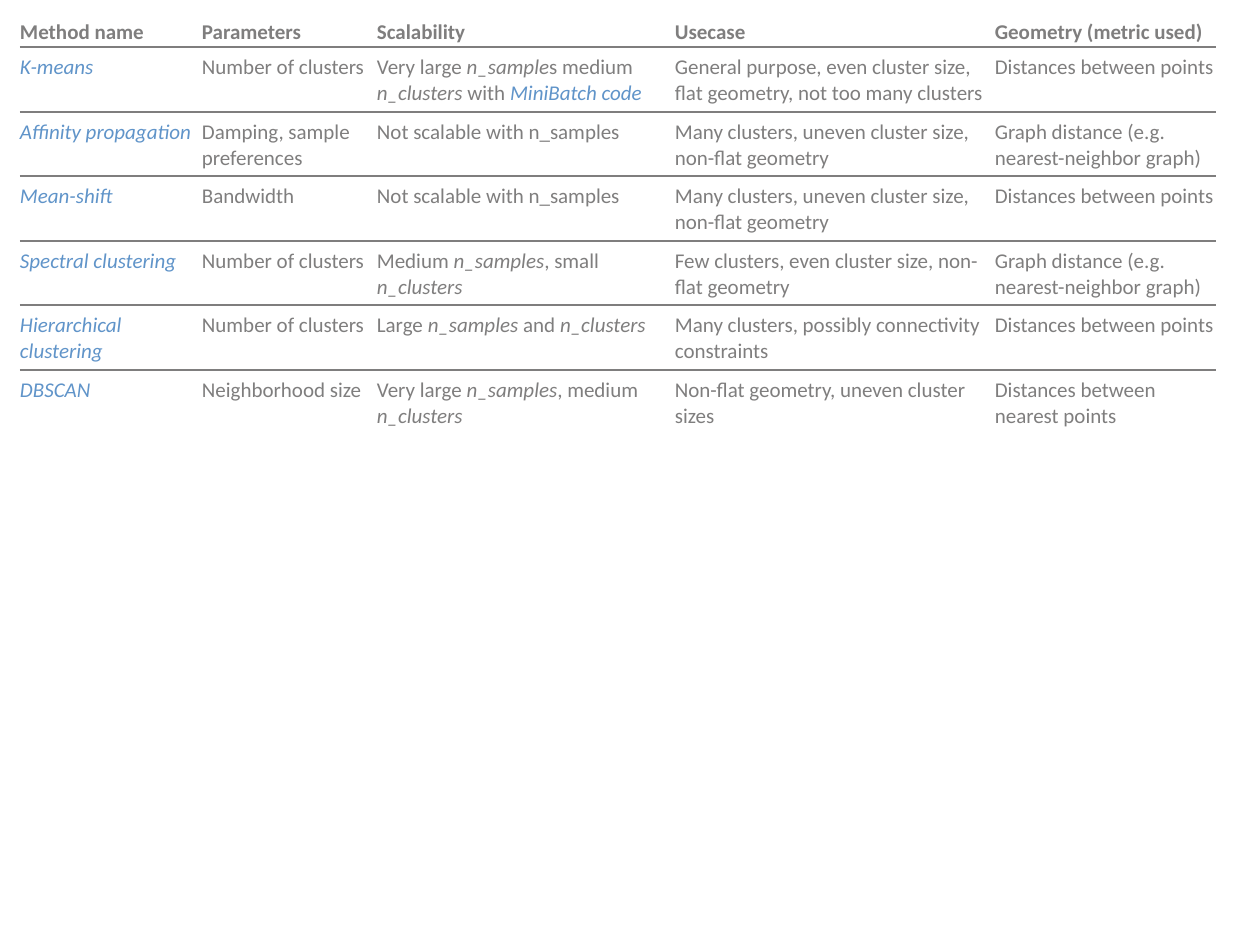
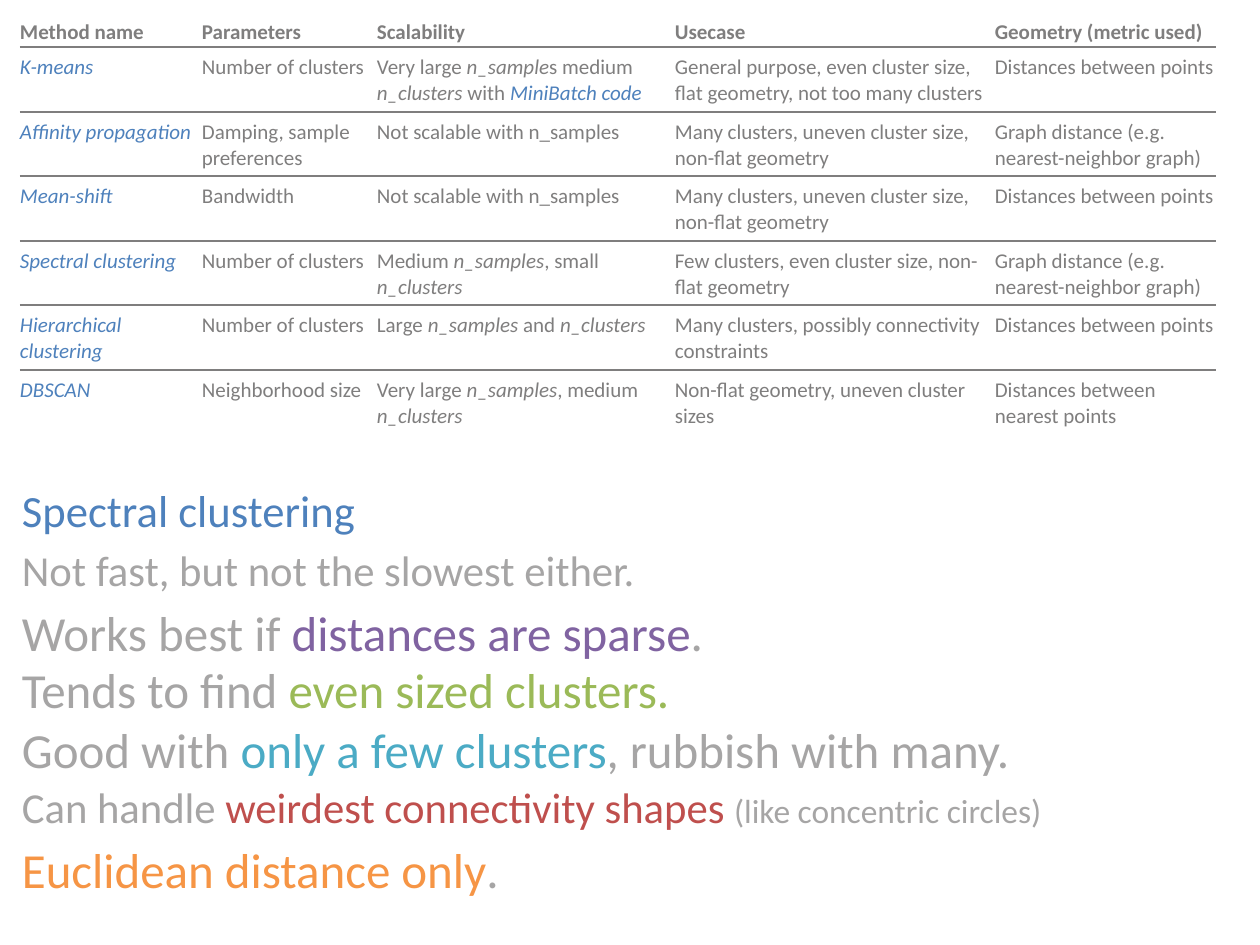
from dataclasses import dataclass
from itertools import pairwise

from lxml.etree import SubElement
from pptx import Presentation
from pptx.dml.color import RGBColor
from pptx.enum.shapes import MSO_CONNECTOR as Connector
from pptx.enum.text import MSO_ANCHOR as Anchor, MSO_AUTO_SIZE as AutoSize
from pptx.oxml.ns import qn
from pptx.util import Emu, Pt

EMU_PER_PX = 914400 / 126
FONT = "Calibri"
NO_GRID_STYLE = "{2D5ABB26-0587-4C30-8999-92F81FD0307C}"

GRAY = RGBColor(0x7F, 0x7E, 0x7E)
LIGHT_GRAY = RGBColor(0xA6, 0xA5, 0xA5)
PALE_BLUE = RGBColor(0x60, 0x94, 0xC9)
BLUE = RGBColor(0x4E, 0x81, 0xBC)
PURPLE = RGBColor(0x80, 0x63, 0xA1)
GREEN = RGBColor(0x9B, 0xBA, 0x58)
TEAL = RGBColor(0x4B, 0xAB, 0xC5)
RED = RGBColor(0xBF, 0x4F, 0x4D)
ORANGE = RGBColor(0xF6, 0x95, 0x45)

COLUMN_EDGES = [20, 202, 377, 675, 995, 1216]
COLUMN_GAP = 6
HEADER_TOP, HEADER_BOTTOM = 15, 47
ROW_PITCH = 64.6

HEADINGS = ["Method name", "Parameters", "Scalability", "Usecase", "Geometry (metric used)"]
POINT_DISTANCE = "Distances between points"
GRAPH_DISTANCE = "Graph distance (e.g. nearest-neighbor graph)"
UNEVEN_CLUSTERS = "Many clusters, uneven cluster size, non-flat geometry"
NOT_SCALABLE = "Not scalable with n_samples"


@dataclass
class Span:
    text: str
    color: RGBColor = GRAY
    size: float = 12
    bold: bool = False
    italic: bool = False
    baseline: int = 0  # percent raised


def px(length):
    return Emu(round(length * EMU_PER_PX))


def add_spans(para, spans):
    """Add one run per span; a plain string is ordinary table text."""
    for span in spans:
        if isinstance(span, str):
            span = Span(span)
        run = para.add_run()
        run.text = span.text
        font = run.font
        font.name, font.size = FONT, Pt(span.size)
        font.bold, font.italic = span.bold, span.italic
        font.color.rgb = span.color
        if span.baseline:
            run._r.get_or_add_rPr().set("baseline", str(span.baseline * 1000))


def code(text):
    return Span(text, italic=True)


def method_rows(link_color):
    def link(text):
        return Span(text, link_color, italic=True)

    return [
        [[link("K-means")], ["Number of clusters"],
         ["Very large ", code("n_sample"), "s medium ", code("n_clusters"), " with ",
          link("MiniBatch code")],
         ["General purpose, even cluster size, flat geometry, not too many clusters"],
         [POINT_DISTANCE]],
        [[link("Affinity propagation")], ["Damping, sample preferences"], [NOT_SCALABLE],
         [UNEVEN_CLUSTERS], [GRAPH_DISTANCE]],
        [[link("Mean-shift")], ["Bandwidth"], [NOT_SCALABLE],
         [UNEVEN_CLUSTERS], [POINT_DISTANCE]],
        [[link("Spectral clustering")], ["Number of clusters"],
         ["Medium ", code("n_samples"), ", small ", code("n_clusters")],
         ["Few clusters, even cluster size, non-flat geometry"], [GRAPH_DISTANCE]],
        [[link("Hierarchical clustering")], ["Number of clusters"],
         ["Large ", code("n_samples "), "and ", code("n_clusters")],
         ["Many clusters, possibly connectivity constraints"], [POINT_DISTANCE]],
        [[link("DBSCAN")], ["Neighborhood size"],
         ["Very large ", code("n_samples"), ", medium ", code("n_clusters")],
         ["Non-flat geometry, uneven cluster sizes"], ["Distances between nearest points"]],
    ]


def add_rule(page, y):
    rule = page.shapes.add_connector(
        Connector.STRAIGHT, px(COLUMN_EDGES[0]), px(y), px(COLUMN_EDGES[-1]), px(y))
    rule.line.color.rgb = GRAY
    rule.line.width = Pt(0.75)
    SubElement(rule._element.spPr, qn("a:effectLst"))


def fill_cell(cell, spans, is_header, is_last_column):
    cell.fill.background()
    cell.margin_left = 0
    cell.margin_right = 0 if is_last_column else px(COLUMN_GAP)
    cell.margin_top = 0 if is_header else px(8)
    cell.margin_bottom = px(2) if is_header else 0
    cell.vertical_anchor = Anchor.BOTTOM if is_header else Anchor.TOP
    add_spans(cell.text_frame.paragraphs[0], spans)


def add_method_table(page, link_color):
    header = [[Span(heading, bold=True)] for heading in HEADINGS]
    rows = [header] + method_rows(link_color)
    row_edges = [HEADER_TOP] + [round(HEADER_BOTTOM + ROW_PITCH * i) for i in range(len(rows))]
    left, right = COLUMN_EDGES[0], COLUMN_EDGES[-1]
    table = page.shapes.add_table(
        len(rows), len(HEADINGS), px(left), px(HEADER_TOP),
        px(right - left), px(row_edges[-1] - HEADER_TOP)).table
    table.first_row = table.horz_banding = False
    table._tbl.tblPr.find(qn("a:tableStyleId")).text = NO_GRID_STYLE
    for column, (start, end) in zip(table.columns, pairwise(COLUMN_EDGES)):
        column.width = px(end - start)
    for row, (top, bottom) in zip(table.rows, pairwise(row_edges)):
        row.height = px(bottom - top)
    for i, row in enumerate(rows):
        for j, spans in enumerate(row):
            fill_cell(table.cell(i, j), spans, i == 0, j == len(row) - 1)
    for y in row_edges[1:-1]:
        add_rule(page, y)


def add_notes_box(page, paragraphs):
    """Each paragraph is (line spacing, space before in points, lines of spans)."""
    box = page.shapes.add_textbox(px(20), px(485), px(1196), px(420))
    frame = box.text_frame
    frame.word_wrap = True
    frame.auto_size = AutoSize.SHAPE_TO_FIT_TEXT
    frame.margin_left = frame.margin_right = frame.margin_top = frame.margin_bottom = 0
    for i, (spacing, before, lines) in enumerate(paragraphs):
        para = frame.add_paragraph() if i else frame.paragraphs[0]
        para.line_spacing = spacing
        para.space_before = Pt(before)
        para._p.get_or_add_pPr().set("marL", str(px(2)))
        for k, spans in enumerate(lines):
            if k:
                para.add_line_break()
                line_break = para._p.findall(qn("a:br"))[-1]
                SubElement(line_break, qn("a:rPr")).set("sz", str(spans[0].size * 100))
            add_spans(para, spans)


def spectral_notes():
    def big(text, color=LIGHT_GRAY):
        return Span(text, color, 28)

    def raised(text, color=LIGHT_GRAY, size=42, baseline=2):
        return Span(text, color, size, baseline=baseline)

    return [
        (Pt(34.5), 1.7, [[raised("Spectral clustering", BLUE, 44, 3)]]),
        (Pt(33), 0, [[raised("Not fast, but not the slowest either.")]]),
        (Pt(33), 0.1, [
            [big("Works best if "), big("distances are sparse", PURPLE), big(".")],
            [big("Tends to ﬁnd "), big("even sized clusters.", GREEN)]]),
        (1.02, 0, [[big("Good with "), big("only a few clusters", TEAL),
                    big(", rubbish with many.")]]),
        (Pt(33), 1.6, [[raised("Can handle "), raised("weirdest connectivity shapes ", RED),
                        raised("(like concentric circles)", size=33)]]),
        (Pt(33.6), 0, [[big("Euclidean distance only", ORANGE), big(".")]]),
    ]


def main():
    deck = Presentation()
    deck.slide_width, deck.slide_height = px(1260), px(945)
    blank = deck.slide_layouts[6]
    overview, spectral = (deck.slides.add_slide(blank) for _ in range(2))
    add_method_table(overview, PALE_BLUE)
    add_method_table(spectral, BLUE)
    add_notes_box(spectral, spectral_notes())
    deck.save("out.pptx")


if __name__ == "__main__":
    main()
